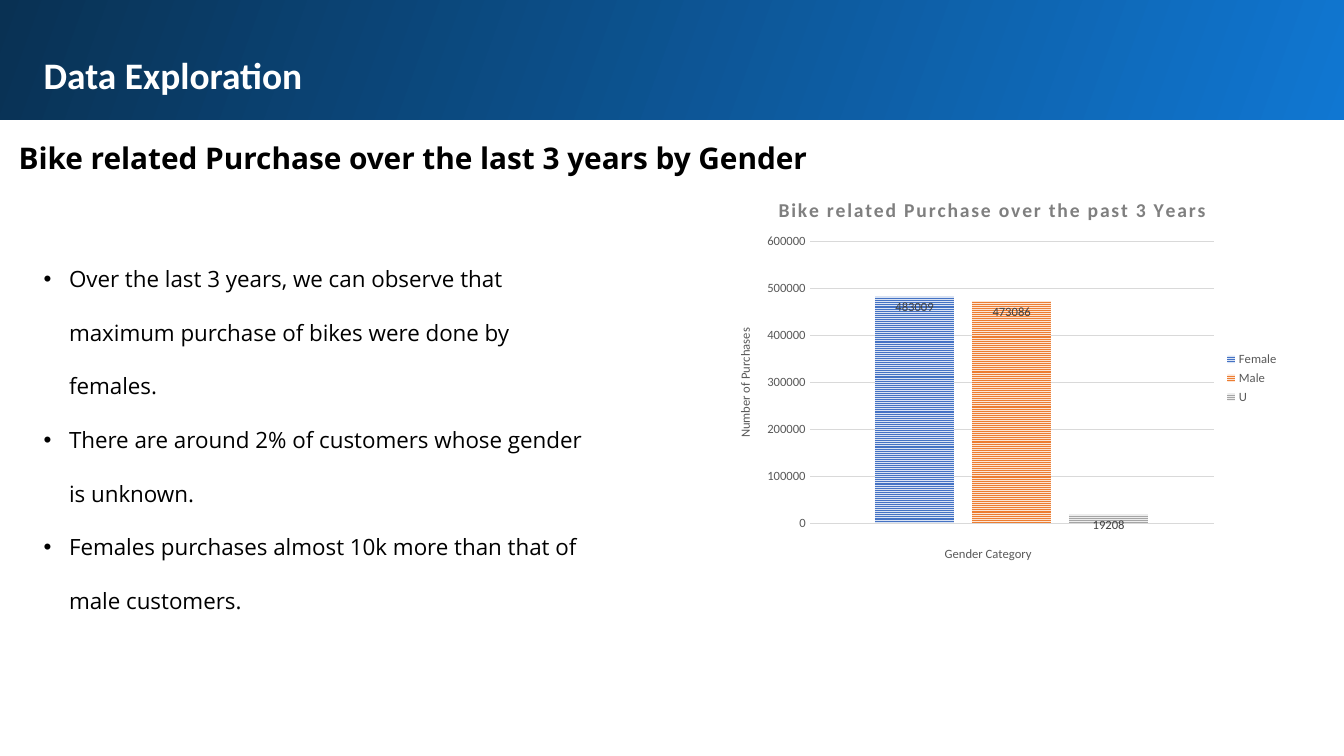
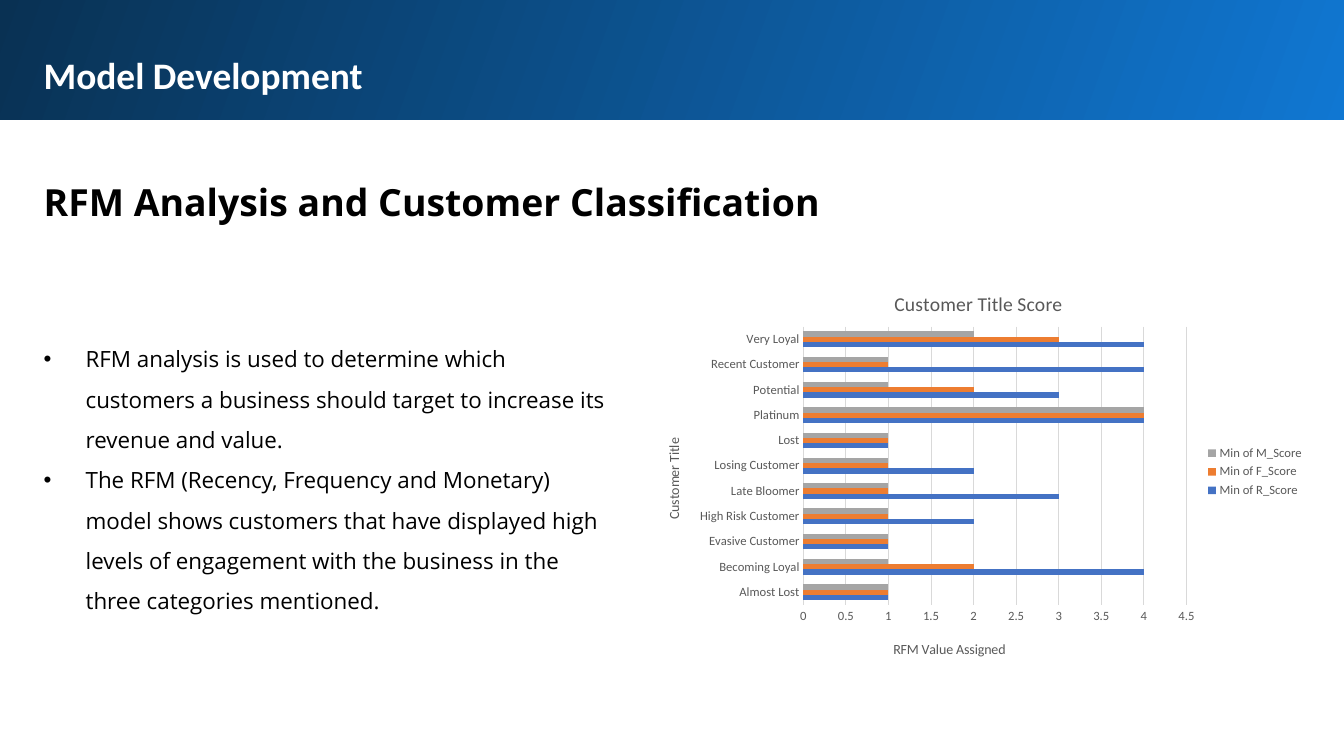
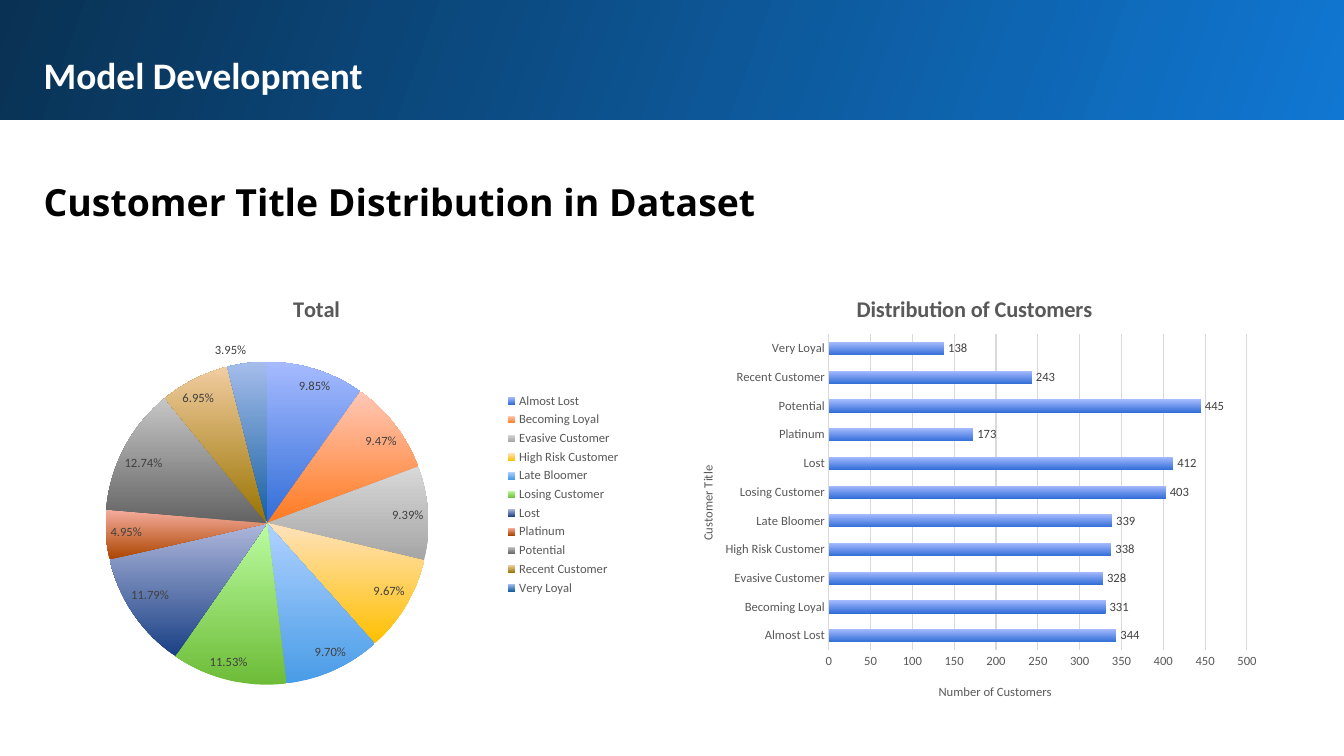
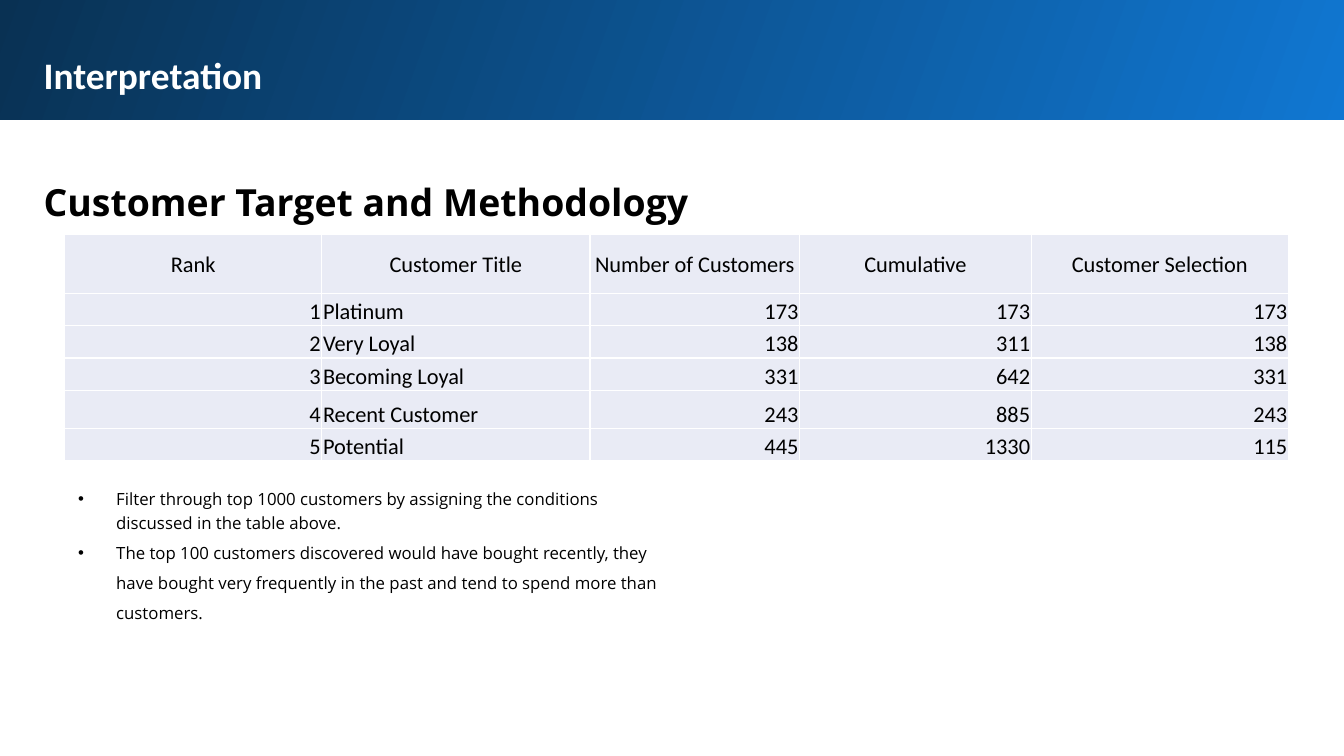
from dataclasses import dataclass
from typing import NamedTuple

from pptx import Presentation
from pptx.chart.data import CategoryChartData
from pptx.dml.color import RGBColor
from pptx.enum.chart import XL_CHART_TYPE, XL_LABEL_POSITION, XL_LEGEND_POSITION, XL_TICK_MARK
from pptx.enum.dml import MSO_PATTERN
from pptx.enum.shapes import MSO_SHAPE
from pptx.enum.text import MSO_ANCHOR, MSO_AUTO_SIZE, PP_ALIGN
from pptx.oxml.ns import qn
from pptx.util import Cm, Pt
from lxml.etree import SubElement


@dataclass(frozen=True)
class Theme:
    heading_font: str = "Calibri"
    body_font: str = "Open Sans"
    white: str = "FFFFFF"
    black: str = "000000"
    band: tuple = ("1077D2", "093153")
    chart_text: str = "595959"
    chart_title: str = "7F7F7F"
    label_text: str = "404040"
    grid: str = "D9D9D9"
    cell: str = "E9EBF5"
    accents: tuple = ("4472C4", "ED7D31", "A5A5A5")
    tints: tuple = ("DAE3F3", "FBE5D6", "EDEDED")
    gradients: tuple = (
        ("316DD7", "A6BBFF"), ("FF7A1F", "FFC7B6"), ("A5A5A5", "D8D8D8"),
        ("FFC000", "FFE2BD"), ("499CE7", "B0D2FF"), ("6DBC38", "BBFCA0"),
        ("1A4085", "AEB7DB"), ("AC4500", "F5AD9E"), ("636363", "C6C6C6"),
        ("997300", "F1CC9F"), ("155FA1", "A5BDEB"))
    title_size: float = 26.7
    small_heading_size: float = 21.3
    body_size: float = 16
    note_size: float = 12
    chart_size: float = 9
    text_inset: float = 0.34
    cell_inset: float = 0.03


class Box(NamedTuple):
    """Left, top, width and height in centimetres."""
    left: float
    top: float
    width: float
    height: float

    def lengths(self):
        return [Cm(value) for value in self]


THEME = Theme()
SLIDE_SIZE = (33.87, 19.05)
BAND = Box(-0.05, -0.08, 34.04, 3.1)
TITLE = Box(0.76, 0.97, 31.72, 1.83)
HEADING = Box(0.76, 4.01, 31.72, 1.88)
CUSTOMER_TITLES = ["Almost Lost", "Becoming Loyal", "Evasive Customer", "High Risk Customer",
                   "Late Bloomer", "Losing Customer", "Lost", "Platinum", "Potential",
                   "Recent Customer", "Very Loyal"]


# Text and fills

def color(value):
    return RGBColor.from_string(value)


def style_font(font, size=THEME.chart_size, name=THEME.heading_font, tone=THEME.black, bold=False):
    font.size, font.name, font.bold = Pt(size), name, bold
    font.color.rgb = color(tone)


def write_text(paragraph, text, align=None, line_spacing=None, bullet_indent=None,
               tracking=None, **font_format):
    run = paragraph.add_run()
    run.text = text
    style_font(run.font, **font_format)
    if align is not None:
        paragraph.alignment = align
    if line_spacing:
        paragraph.line_spacing = line_spacing
    if tracking:
        run._r.get_or_add_rPr().set("spc", str(round(tracking * 100)))
    if bullet_indent:
        properties = paragraph._p.get_or_add_pPr()
        properties.set("marL", str(Cm(bullet_indent)))
        properties.set("indent", str(-Cm(bullet_indent)))
        SubElement(properties, qn("a:buFont")).set("typeface", "Arial")
        SubElement(properties, qn("a:buChar")).set("char", "•")


def add_text(slide, box, texts, spacings=(None,), **text_format):
    frame = slide.shapes.add_textbox(*box.lengths()).text_frame
    frame.word_wrap = True
    frame.auto_size = MSO_AUTO_SIZE.SHAPE_TO_FIT_TEXT
    frame.margin_left = frame.margin_right = Cm(THEME.text_inset)
    frame.margin_top = frame.margin_bottom = Cm(THEME.text_inset)
    for index, text in enumerate(texts):
        paragraph = frame.add_paragraph() if index else frame.paragraphs[0]
        write_text(paragraph, text, line_spacing=spacings[index % len(spacings)], **text_format)


def fill_gradient(fill, tones, angle=90):
    fill.gradient()
    fill.gradient_angle = angle
    for stop, tone, position in zip(fill.gradient_stops, tones, (0, 1)):
        stop.color.rgb = color(tone)
        stop.position = position


def fill_solid(fill, tone):
    fill.solid()
    fill.fore_color.rgb = color(tone)


def fill_stripes(fill, tone, tint):
    fill.patterned()
    fill.pattern = MSO_PATTERN.NARROW_HORIZONTAL
    fill.fore_color.rgb = color(tone)
    fill.back_color.rgb = color(tint)


# Slide frame and text regions

def add_frame(presentation, title, heading, heading_box=HEADING, heading_size=THEME.title_size):
    slide = presentation.slides.add_slide(presentation.slide_layouts[6])
    band = slide.shapes.add_shape(MSO_SHAPE.RECTANGLE, *BAND.lengths())
    band.shadow.inherit = False
    band.line.fill.background()
    fill_gradient(band.fill, THEME.band, angle=160)
    add_text(slide, TITLE, [title], size=THEME.title_size, tone=THEME.white, bold=True)
    add_text(slide, heading_box, [heading], (1.15,), size=heading_size,
             name=THEME.body_font, bold=True)
    return slide


def add_bullets(slide, box, texts, spacings, indent, size=THEME.body_size):
    add_text(slide, box, texts, spacings, bullet_indent=indent, size=size, name=THEME.body_font)


# Chart parts

def set_layout(element, **fractions):
    """Place a chart part by fractions of the chart's width and height."""
    layout = element.find(qn("c:layout"))
    if layout is None:
        layout = element.makeelement(qn("c:layout"), {})
        text = element.find(qn("c:tx"))
        element.insert(0 if text is None else element.index(text) + 1, layout)
    manual = SubElement(layout, qn("c:manualLayout"))
    if "w" in fractions:
        SubElement(manual, qn("c:layoutTarget")).set("val", "inner")
    for mode in ("xMode", "yMode"):
        SubElement(manual, qn(f"c:{mode}")).set("val", "edge")
    for name, value in fractions.items():
        SubElement(manual, qn(f"c:{name}")).set("val", str(value))


def add_chart(slide, box, kind, categories, series, title, title_x, plot_area,
              number_format="General", legend=True, **title_format):
    data = CategoryChartData(number_format=number_format)
    data.categories = categories
    for name, values in series:
        data.add_series(name, values)
    chart = slide.shapes.add_chart(kind, *box.lengths(), data).chart
    style_font(chart.font, size=10)
    chart.has_title = True
    write_text(chart.chart_title.text_frame.paragraphs[0], title, **title_format)
    set_layout(chart.chart_title._element, x=title_x, y=0.04)
    set_layout(chart._chartSpace.chart.plotArea, **dict(zip("xywh", plot_area)))
    chart.has_legend = legend
    if legend:
        chart.legend.position = XL_LEGEND_POSITION.RIGHT
        chart.legend.include_in_layout = False
        style_font(chart.legend.font, tone=THEME.chart_text)
    return chart


def title_axis(axis, text, place, size, vertical):
    frame = axis.axis_title.text_frame
    write_text(frame.paragraphs[0], text, size=size, tone=THEME.chart_text)
    if vertical:
        frame._txBody.bodyPr.set("rot", "-5400000")
        frame._txBody.bodyPr.set("vert", "horz")
    set_layout(axis.axis_title._element, x=place[0], y=place[1])


def style_axes(chart, category_title, category_place, value_title, value_place, maximum, step,
               horizontal, size=THEME.chart_size):
    category_axis, value_axis = chart.category_axis, chart.value_axis
    for axis in (category_axis, value_axis):
        axis.major_tick_mark = axis.minor_tick_mark = XL_TICK_MARK.NONE
        style_font(axis.tick_labels.font, tone=THEME.chart_text)
    title_axis(category_axis, category_title, category_place, size, horizontal)
    title_axis(value_axis, value_title, value_place, size, not horizontal)
    category_axis.has_major_gridlines = False
    category_axis.format.line.color.rgb = color(THEME.grid)
    category_axis.format.line.width = Pt(0.75)
    value_axis.minimum_scale, value_axis.maximum_scale = 0, maximum
    value_axis.major_unit = step
    value_axis.format.line.fill.background()
    value_axis.has_major_gridlines = True
    value_axis.major_gridlines.format.line.color.rgb = color(THEME.grid)
    value_axis.major_gridlines.format.line.width = Pt(0.75)


def style_bars(chart, gap, overlap=0):
    plot = chart.plots[0]
    plot.gap_width, plot.overlap, plot.vary_by_categories = gap, overlap, False
    for series in plot.series:
        series.invert_if_negative = False
    return plot.series


def show_values(series, position, number_format="General"):
    labels = series.data_labels
    labels.show_value = True
    labels.position = position
    labels.number_format = number_format
    labels.number_format_is_linked = False
    style_font(labels.font, tone=THEME.label_text)


# Charts

def add_gender_chart(slide, box):
    chart = add_chart(
        slide, box, XL_CHART_TYPE.COLUMN_CLUSTERED, ["1"],
        [("Female", [483009]), ("Male", [473086]), ("U", [19208])],
        "Bike related Purchase over the past 3 Years", 0.11, (0.17, 0.16, 0.7, 0.7),
        size=14, tone=THEME.chart_title, bold=True, tracking=1.2)
    style_axes(chart, "Gender Category", (0.4, 0.91), "Number of Purchases", (0.04, 0.37),
               600000, 100000, horizontal=False)
    chart.category_axis.visible = False
    for series, tone, tint in zip(style_bars(chart, 164, -22), THEME.accents, THEME.tints):
        fill_stripes(series.format.fill, tone, tint)
        show_values(series, XL_LABEL_POSITION.INSIDE_END)


def add_score_chart(slide, box):
    scores = [("Min of R_Score", [1, 4, 1, 2, 3, 2, 1, 4, 3, 4, 4]),
              ("Min of F_Score", [1, 2, 1, 1, 1, 1, 1, 4, 2, 1, 3]),
              ("Min of M_Score", [1, 1, 1, 1, 1, 1, 1, 4, 1, 1, 2])]
    chart = add_chart(
        slide, box, XL_CHART_TYPE.BAR_CLUSTERED, CUSTOMER_TITLES, scores,
        "Customer Title Score", 0.37, (0.24, 0.14, 0.57, 0.69),
        size=14, tone=THEME.chart_text)
    style_axes(chart, "Customer Title", (0.03, 0.41), "RFM Value Assigned", (0.37, 0.91),
               4.5, 0.5, horizontal=True, size=10)
    for series, tone in zip(style_bars(chart, 182), THEME.accents):
        fill_solid(series.format.fill, tone)


def add_share_chart(slide, box):
    shares = [0.0985, 0.0947, 0.0939, 0.0967, 0.097, 0.1153,
              0.1179, 0.0495, 0.1274, 0.0695, 0.0395]
    chart = add_chart(
        slide, box, XL_CHART_TYPE.PIE, CUSTOMER_TITLES, [("Total", shares)],
        "Total", 0.46, (0.17, 0.2, 0.51, 0.73), number_format="0.00%",
        size=16, tone=THEME.chart_text, bold=True)
    chart.plots[0].vary_by_categories = True
    series = chart.plots[0].series[0]
    for index, tones in enumerate(THEME.gradients):
        fill_gradient(series.points[index].format.fill, tones)
    show_values(series, XL_LABEL_POSITION.BEST_FIT, "0.00%")


def add_count_chart(slide, box):
    counts = [344, 331, 328, 338, 339, 403, 412, 173, 445, 243, 138]
    chart = add_chart(
        slide, box, XL_CHART_TYPE.BAR_CLUSTERED, CUSTOMER_TITLES, [("Series 1", counts)],
        "Distribution of Customers", 0.3, (0.26, 0.14, 0.7, 0.71), legend=False,
        size=16, tone=THEME.chart_text, bold=True)
    style_axes(chart, "Customer Title", (0.04, 0.43), "Number of Customers", (0.44, 0.92),
               500, 50, horizontal=True)
    series = style_bars(chart, 115, -20)[0]
    fill_gradient(series.format.fill, THEME.gradients[0])
    show_values(series, XL_LABEL_POSITION.OUTSIDE_END)


# Table

def style_cell(cell, text, align, anchor):
    cell.margin_left = cell.margin_right = cell.margin_top = Cm(THEME.cell_inset)
    cell.margin_bottom = 0
    cell.vertical_anchor = anchor
    write_text(cell.text_frame.paragraphs[0], text, align=align, size=THEME.body_size)
    properties = cell._tc.get_or_add_tcPr()
    for side in ("lnL", "lnR", "lnT", "lnB"):
        border = SubElement(properties, qn(f"a:{side}"), w=str(Pt(1)))
        border_fill = SubElement(border, qn("a:solidFill"))
        SubElement(border_fill, qn("a:srgbClr")).set("val", THEME.white)
    fill_solid(cell.fill, THEME.cell)


def add_target_table(slide, box):
    rows = [("Rank", "Customer Title", "Number of Customers", "Cumulative", "Customer Selection"),
            ("1", "Platinum", "173", "173", "173"),
            ("2", "Very Loyal", "138", "311", "138"),
            ("3", "Becoming Loyal", "331", "642", "331"),
            ("4", "Recent Customer", "243", "885", "243"),
            ("5", "Potential", "445", "1330", "115")]
    table = slide.shapes.add_table(len(rows), len(rows[0]), *box.lengths()).table
    table.first_row = table.horz_banding = False
    for column, width in zip(table.columns, (6.48, 6.76, 5.28, 5.84, 6.48)):
        column.width = Cm(width)
    for row, height in zip(table.rows, (1.5, 0.81, 0.81, 0.81, 0.97, 0.81)):
        row.height = Cm(height)
    for row_index, texts in enumerate(rows):
        for column_index, text in enumerate(texts):
            align = PP_ALIGN.LEFT if column_index == 1 else PP_ALIGN.RIGHT
            anchor = MSO_ANCHOR.BOTTOM
            if row_index == 0:
                align, anchor = PP_ALIGN.CENTER, MSO_ANCHOR.MIDDLE
            style_cell(table.cell(row_index, column_index), text, align, anchor)


# Slides

def build_exploration(presentation):
    slide = add_frame(presentation, "Data Exploration",
                      "Bike related Purchase over the last 3 years by Gender",
                      Box(0.13, 3.05, 31.72, 1.65), THEME.small_heading_size)
    add_bullets(slide, Box(0.76, 5.66, 14.6, 8.69), [
        "Over the last 3 years, we can observe that maximum purchase of bikes were done by females.",
        "There are around 2% of customers whose gender is unknown.",
        "Females purchases almost 10k more than that of male customers."], (2.0,), 0.64)
    add_gender_chart(slide, Box(17.93, 4.45, 14.55, 10.16))


def build_classification(presentation):
    slide = add_frame(presentation, "Model Development",
                      "RFM Analysis and Customer Classification")
    add_bullets(slide, Box(0.76, 8.03, 15.11, 7.75), [
        "RFM analysis is used to determine which customers a business should target to increase "
        "its revenue and value.",
        "The RFM (Recency, Frequency and Monetary) model shows customers that have displayed high "
        "levels of engagement with the business in the three categories mentioned."], (1.5,), 1.06)
    add_score_chart(slide, Box(16.18, 6.81, 16.94, 10.16))


def build_distribution(presentation):
    slide = add_frame(presentation, "Model Development", "Customer Title Distribution in Dataset")
    add_share_chart(slide, Box(-0.05, 6.86, 15.95, 11.2))
    add_count_chart(slide, Box(16.97, 6.86, 15.06, 11.2))


def build_interpretation(presentation):
    slide = add_frame(presentation, "Interpretation", "Customer Target and Methodology")
    add_bullets(slide, Box(1.63, 11.91, 15.32, 4.06), [
        "Filter through top 1000 customers by assigning the conditions discussed in the table above.",
        "The top 100 customers discovered would have bought recently, they have bought very "
        "frequently in the past and tend to spend more than customers."],
        (1.15, 1.5), 0.96, THEME.note_size)
    add_target_table(slide, Box(1.63, 5.9, 30.84, 5.71))


def main():
    presentation = Presentation()
    presentation.slide_width, presentation.slide_height = [Cm(side) for side in SLIDE_SIZE]
    for build in (build_exploration, build_classification, build_distribution,
                  build_interpretation):
        build(presentation)
    presentation.save("out.pptx")


main()
